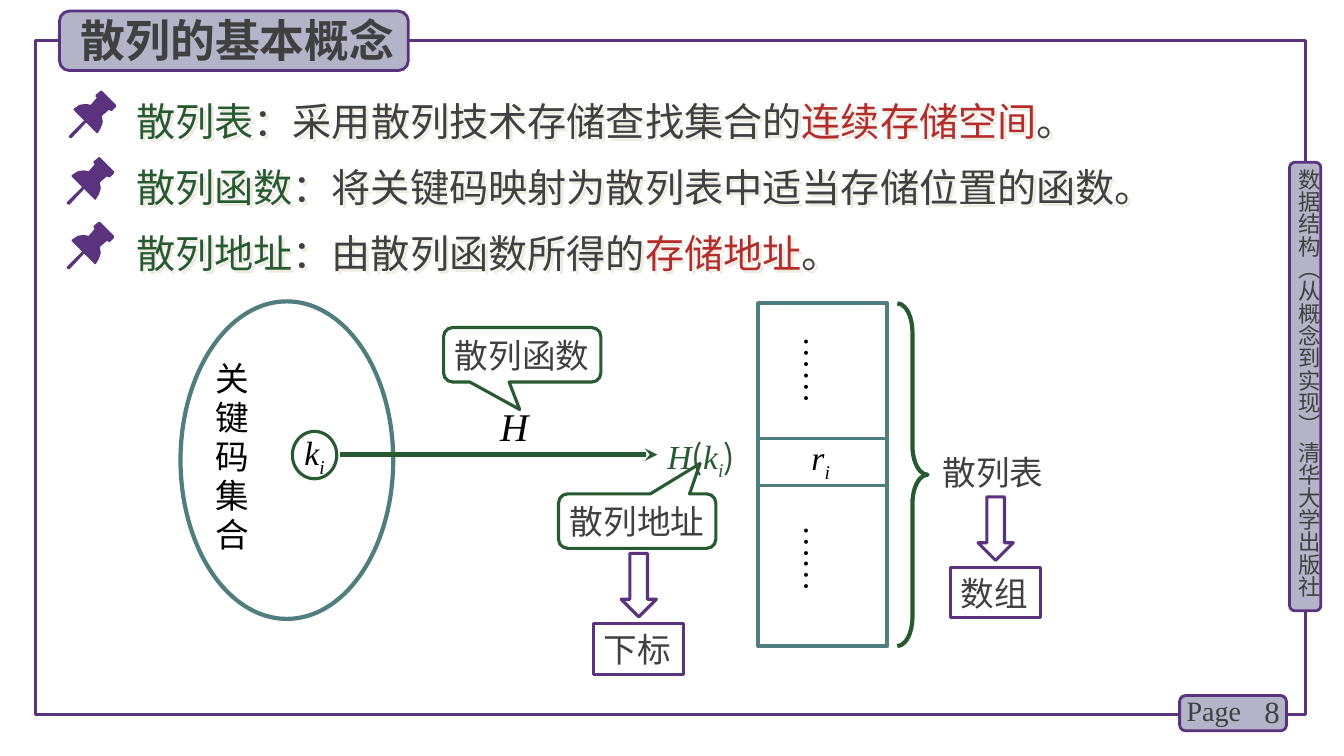
from lxml import etree
from pptx import Presentation
from pptx import util as u
from pptx.dml.color import RGBColor
from pptx.enum import shapes, text
from pptx.oxml.ns import qn

SANS, SERIF = "Noto Sans CJK SC", "Times New Roman"
PURPLE, GREEN, TEAL = "5A327D", "285A32", "507D7D"
GRAY, RED, BLACK, LILAC, PALE = "404040", "B42D2D", "000000", "B4B4C8", "EEECE1"

# Content
TITLE = "散列的基本概念"
DEFINITIONS = [
    [("散列表", GREEN), ("：采用散列技术存储查找集合的", GRAY), ("连续存储空间", RED), ("。", GRAY)],
    [("散列函数", GREEN), ("：将关键码映射为散列表中适当存储位置的函数。", GRAY)],
    [("散列地址", GREEN), ("：由散列函数所得的", GRAY), ("存储地址", RED), ("。", GRAY)],
]
SIDE_LABEL = "数据结构（从概念到实现） 清华大学出版社"
KEY_SET = "关键码集合"
# label, left, top, pointer position
CALLOUTS = [("散列函数", 4.4, 3.25, (-0.016, 1.005)), ("散列地址", 5.54, 4.9, (0.4, -1.058))]
# label, left, top
RESULTS = [("数组", 9.43, 5.63), ("下标", 5.89, 6.19)]
PINS = [(0.68, 0.9), (0.66, 1.56), (0.66, 2.2)]
# Pin outlines in hundredths of an inch
PIN_HEAD = [(47, 14), (33, 0), (32, 0), (27, 4), (27, 6), (28, 7), (22, 14), (17, 13), (11, 14),
            (5, 18), (5, 19), (28, 42), (29, 42), (32, 37), (34, 31), (33, 25), (40, 19),
            (42, 20), (43, 20), (47, 16)]
PIN_NEEDLE = [(2, 47), (0, 46), (1, 44), (16, 29), (18, 29), (18, 31), (3, 47)]

presentation = Presentation()
presentation.slide_width, presentation.slide_height = u.Inches(13.33), u.Inches(7.5)
slide = presentation.slides.add_slide(presentation.slide_layouts[1])
SHAPE = shapes.MSO_SHAPE
LEFT, CENTER, RIGHT = text.PP_ALIGN.LEFT, text.PP_ALIGN.CENTER, text.PP_ALIGN.RIGHT


def color(value):
    return RGBColor.from_string(value)


def box(left, top, width, height):
    return [u.Inches(value) for value in (left, top, width, height)]


def add_run(paragraph, words, size, font=SANS, hue=GRAY, bold=False, italic=False, sub=False):
    run = paragraph.add_run()
    run.text = words
    run.font.size, run.font.name = u.Pt(size), font
    run.font.bold, run.font.italic = bold, italic
    run.font.color.rgb = color(hue)
    properties = run._r.get_or_add_rPr()
    etree.SubElement(properties, qn("a:ea")).set("typeface", font)
    if sub:
        properties.set("baseline", "-25000")


def add_subscripted(paragraph, letter, hue=BLACK):
    add_run(paragraph, letter, 24, SERIF, hue, italic=True)
    add_run(paragraph, "i", 24, SERIF, hue, italic=True, sub=True)


def set_frame(shape, inset=0.0, align=LEFT, vertical=False):
    frame = shape.text_frame
    frame.word_wrap, frame.auto_size = True, text.MSO_AUTO_SIZE.NONE
    frame.vertical_anchor = text.MSO_ANCHOR.MIDDLE
    frame.margin_left = frame.margin_right = u.Inches(inset)
    frame.margin_top = frame.margin_bottom = 0
    if vertical:
        frame._txBody.bodyPr.set("vert", "eaVert")
    frame.paragraphs[0].alignment = align
    return frame.paragraphs[0]


def add_label(area, inset=0.0, align=LEFT, vertical=False):
    return set_frame(slide.shapes.add_textbox(*box(*area)), inset, align, vertical)


def paint(shape, line=None, width=2.25, fill=None):
    shape.shadow.inherit = False
    if fill:
        shape.fill.solid()
        shape.fill.fore_color.rgb = color(fill)
    else:
        shape.fill.background()
    if line:
        shape.line.color.rgb, shape.line.width = color(line), u.Pt(width)
    else:
        shape.line.fill.background()
    return shape


def add_shape(kind, area, line, width=2.25, fill=None):
    return paint(slide.shapes.add_shape(kind, *box(*area)), line, width, fill)


def add_line(start, end, hue, width, arrow=False):
    ends = [u.Inches(value) for value in start + end]
    line = slide.shapes.add_connector(shapes.MSO_CONNECTOR.STRAIGHT, *ends)
    line.line.color.rgb, line.line.width = color(hue), u.Pt(width)
    if arrow:
        etree.SubElement(line.line._get_or_add_ln(), qn("a:tailEnd")).set("type", "stealth")
    etree.SubElement(line._element.spPr, qn("a:effectLst"))


def add_outline(points, left, top):
    builder = slide.shapes.build_freeform(*points[0], scale=u.Inches(0.01))
    builder.add_line_segments(points[1:], close=True)
    paint(builder.convert_to_shape(u.Inches(left), u.Inches(top)), fill=PURPLE)


# Page frame, side tab and page number
add_shape(SHAPE.RECTANGLE, (0.35, 0.4, 12.6, 6.69), PURPLE)
for tab in [(12.79, 1.61, 0.31, 4.45), (11.7, 6.9, 1.06, 0.35), (0.59, 0.11, 3.46, 0.59)]:
    add_shape(SHAPE.ROUNDED_RECTANGLE, tab, PURPLE, 2, LILAC)
add_run(add_label((12.85, 1.67, 0.27, 4.49), vertical=True), SIDE_LABEL, 16)
add_run(add_label((12.2, 6.86, 0.59, 0.4), 0.1, RIGHT), "8", 22, SERIF)
add_run(add_label((11.67, 6.83, 0.78, 0.44), 0.1), "Page", 20, SERIF)

# Title, raised above its plate
title = slide.shapes.title
title.left, title.top, title.width, title.height = box(0.7, 0.07, 3.44, 0.64)
add_run(set_frame(title, 0.1), TITLE, 32, bold=True)
slide.shapes._spTree.append(title._element)

# Definitions with a pale text shadow
body = slide.placeholders[1]
body.left, body.top, body.width, body.height = box(1.25, 0.83, 11.22, 1.96)
set_frame(body, 0.1)
for index, parts in enumerate(DEFINITIONS):
    frame = body.text_frame
    paragraph = frame.add_paragraph() if index else frame.paragraphs[0]
    paragraph.line_spacing = u.Pt(40)
    paragraph.space_before = u.Pt(7 if index else 0)
    properties = paragraph._p.get_or_add_pPr()
    properties.set("marL", "0")
    properties.set("indent", "0")
    etree.SubElement(properties, qn("a:buNone"))
    for words, hue in parts:
        add_run(paragraph, words, 28, hue=hue)
effects = etree.SubElement(body._element.spPr, qn("a:effectLst"))
shadow = etree.SubElement(effects, qn("a:outerShdw"), dist="35900", dir="2700000")
etree.SubElement(shadow, qn("a:srgbClr")).set("val", PALE)

# Pins
for left, top in PINS:
    add_outline(PIN_HEAD, left, top)
    add_outline(PIN_NEEDLE, left, top)

# Key set and one key
add_shape(SHAPE.OVAL, (1.79, 2.99, 2.11, 3.15), TEAL, 3)
paragraph = add_label((2.12, 3.56, 0.38, 1.94), 0.02)
paragraph.line_spacing = u.Pt(28)
add_run(paragraph, KEY_SET, 24, hue=BLACK)
key = add_shape(SHAPE.OVAL, (2.9, 4.28, 0.44, 0.47), GREEN)
paragraph = set_frame(key, align=CENTER)
key.text_frame.word_wrap = False
add_subscripted(paragraph, "k")

# Hash function arrow and address
add_line((3.37, 4.51), (6.52, 4.51), GREEN, 3, arrow=True)
add_run(add_label((4.94, 4.04, 0.74, 0.37), 0.02), "H", 28, SERIF, BLACK, italic=True)
paragraph = add_label((6.6, 4.37, 0.85, 0.36), 0.02)
add_run(paragraph, "H", 24, SERIF, GREEN, italic=True)
add_run(paragraph, "(", 24, SANS, GREEN)
add_subscripted(paragraph, "k", GREEN)
add_run(paragraph, ")", 24, SANS, GREEN)

# Hash table with its record row
add_shape(SHAPE.RECTANGLE, (7.52, 3.01, 1.28, 3.4), TEAL, 3)
for row in (4.35, 4.82):
    add_line((7.52, row), (8.8, row), TEAL, 2.25)
add_subscripted(add_label((7.5, 4.33, 1.28, 0.47), align=CENTER), "r")
for top in (3.34, 5.21):
    add_run(add_label((7.93, top, 0.37, 0.9), vertical=True), "……", 24, SERIF, BLACK)
brace = add_shape(SHAPE.RIGHT_BRACE, (8.9, 3.01, 0.3, 3.4), GREEN, 3)
brace.adjustments[0] = 0.959
add_run(add_label((9.25, 4.43, 1.21, 0.5), 0.1), "散列表", 24)

# Callouts
for label, left, top, pointer in CALLOUTS:
    callout = add_shape(SHAPE.ROUNDED_RECTANGULAR_CALLOUT, (left, top, 1.56, 0.54), GREEN)
    callout.adjustments[0], callout.adjustments[1] = pointer
    add_run(set_frame(callout, align=CENTER), label, 24)

# Down arrows leading to result boxes
for label, left, top in RESULTS:
    result = add_shape(SHAPE.RECTANGLE, (left, top, 0.89, 0.5), PURPLE)
    add_run(set_frame(result, 0.1), label, 24)
    add_shape(SHAPE.DOWN_ARROW, (left + 0.27, top - 0.7, 0.35, 0.63), PURPLE)

presentation.save("out.pptx")
